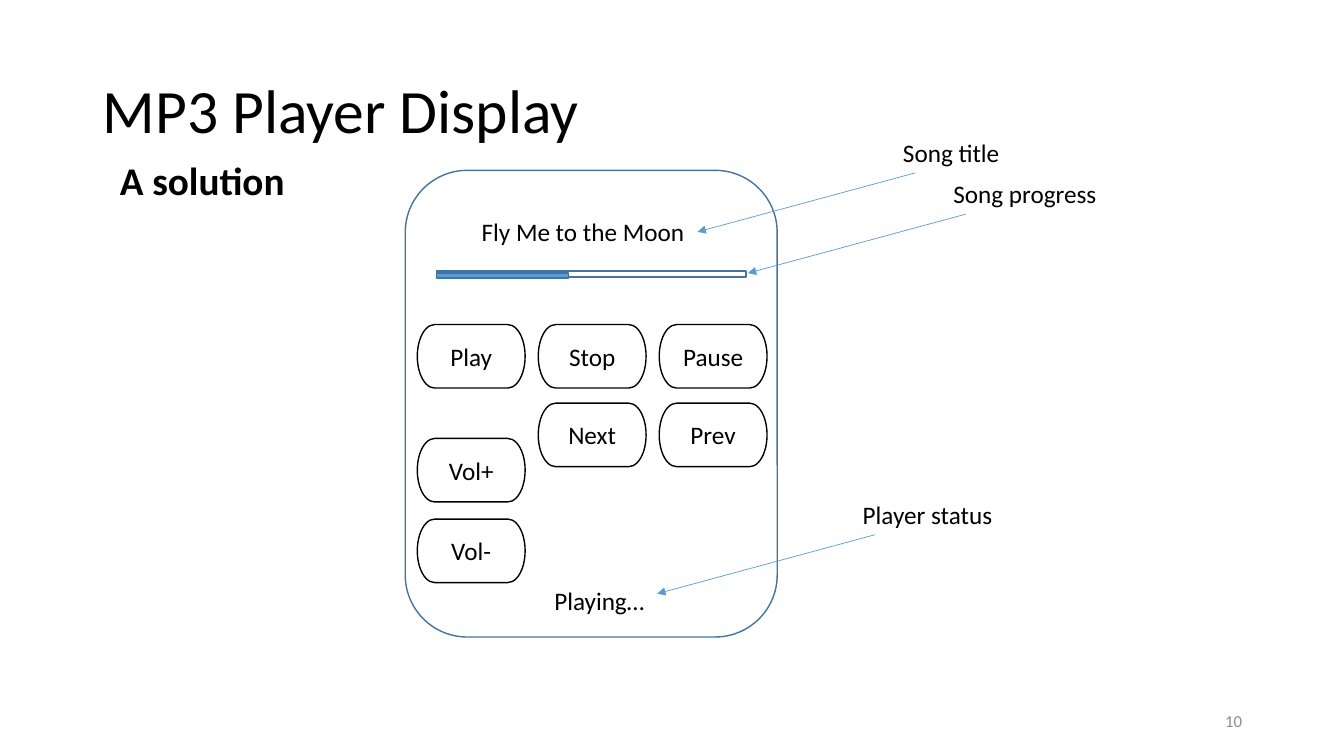
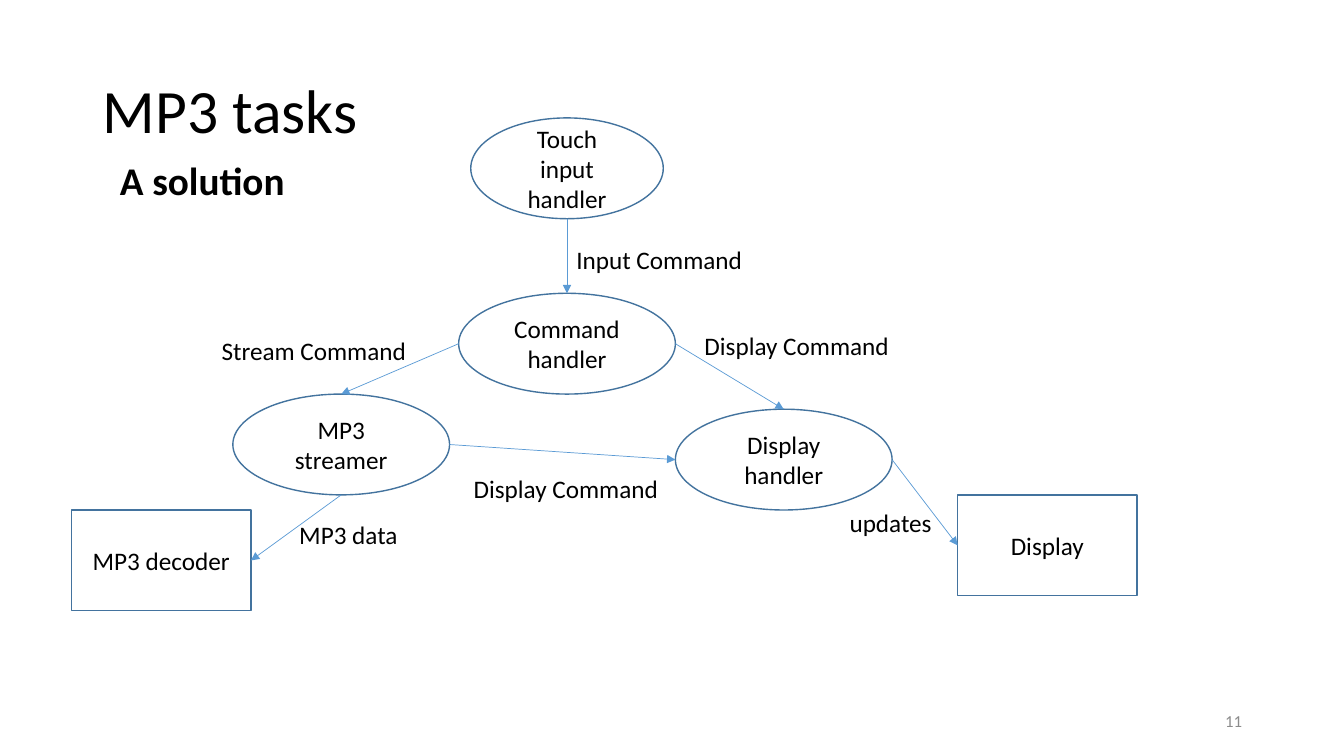
import pptx
import pptx.util
import pptx.dml.color
import pptx.enum.shapes
import pptx.enum.text
import pptx.oxml
import pptx.oxml.ns

# Shared look: a grid of ten cells per inch, one font, one palette
CELL = 0.1
COLUMNS, ROWS = 133.33, 75
FONT = "Calibri"
COLORS = {"text": "000000", "paper": "FFFFFF", "outline": "43739E",
          "accent": "5B9BD5", "number": "8C8C8C"}
FIRST_NUMBER = 10
LABEL_HEIGHT = 4
NODE_HEIGHT = 10

SHAPES = pptx.enum.shapes.MSO_SHAPE
ALIGN = pptx.enum.text.PP_ALIGN
ANCHOR = pptx.enum.text.MSO_ANCHOR
AUTO_SIZE = pptx.enum.text.MSO_AUTO_SIZE


def grid(*cells):
    return [pptx.util.Inches(cell * CELL) for cell in cells]


def color(name):
    return pptx.dml.color.RGBColor.from_string(COLORS[name])


# Text
def style_font(font, size, name="text", bold=False):
    font.name = FONT
    font.size = pptx.util.Pt(size)
    font.bold = bold
    font.color.rgb = color(name)


def write(frame, text, size=18, bold=False, align=ALIGN.LEFT, spacing=None):
    paragraph = frame.paragraphs[0]
    paragraph.alignment = align
    paragraph.line_spacing = spacing
    run = paragraph.add_run()
    run.text = text
    style_font(run.font, size, bold=bold)


def add_label(slide, text, left, top, width):
    frame = slide.shapes.add_textbox(*grid(left, top, width, LABEL_HEIGHT)).text_frame
    frame.word_wrap = False
    frame.auto_size = AUTO_SIZE.SHAPE_TO_FIT_TEXT
    write(frame, text)


# Shapes and arrows
def add_figure(slide, kind, box, text="", fill=None, line="outline"):
    shape = slide.shapes.add_shape(kind, *grid(*box))
    shape.shadow.inherit = False
    if fill:
        shape.fill.solid()
        shape.fill.fore_color.rgb = color(fill)
    else:
        shape.fill.background()
    shape.line.color.rgb = color(line)
    shape.line.width = pptx.util.Pt(1)
    if text:
        shape.text_frame.vertical_anchor = ANCHOR.MIDDLE
        write(shape.text_frame, text, align=ALIGN.CENTER)


def add_arrow(slide, start, end):
    connector = slide.shapes.add_connector(
        pptx.enum.shapes.MSO_CONNECTOR.STRAIGHT, *grid(*start, *end))
    connector.line.color.rgb = color("accent")
    connector.line.width = pptx.util.Pt(0.5)
    line = connector.line._get_or_add_ln()
    line.append(pptx.oxml.parse_xml(
        f'<a:tailEnd {pptx.oxml.ns.nsdecls("a")} type="triangle"/>'))
    connector._element.spPr.append(pptx.oxml.parse_xml(
        f'<a:effectLst {pptx.oxml.ns.nsdecls("a")}/>'))


def edge(box, side):
    left, top, width, height = box
    across, down = {"top": (0.5, 0), "bottom": (0.5, 1),
                    "left": (0, 0.5), "right": (1, 0.5)}[side]
    return left + width * across, top + height * down


# Slide frame: title, subtitle and page number
def add_page_number(slide, number):
    frame = slide.shapes.add_textbox(*grid(94.2, 69.5, 30, 4)).text_frame
    frame.word_wrap = True
    frame.vertical_anchor = ANCHOR.MIDDLE
    paragraph = frame.paragraphs[0]
    paragraph.alignment = ALIGN.RIGHT
    paragraph._p.append(pptx.oxml.parse_xml(
        f'<a:fld {pptx.oxml.ns.nsdecls("a")} type="slidenum" '
        'id="{B6F15528-21DE-4FAA-801E-634DDDAF4B2B}">'
        f'<a:rPr lang="en-US" sz="1200"><a:solidFill><a:srgbClr val="{COLORS["number"]}"/>'
        f'</a:solidFill><a:latin typeface="{FONT}"/></a:rPr><a:t>{number}</a:t></a:fld>'))


def add_slide(presentation, title_text, subtitle="A solution"):
    slide = presentation.slides.add_slide(presentation.slide_layouts.get_by_name("Title Only"))
    title = slide.shapes.title
    title.left, title.top, title.width, title.height = grid(9.2, 4, 115, 14.5)
    title.text_frame.auto_size = AUTO_SIZE.NONE
    title.text_frame.vertical_anchor = ANCHOR.MIDDLE
    write(title.text_frame, title_text, size=44, spacing=0.9)

    frame = slide.shapes.add_textbox(*grid(10.9, 15.5, 56.7, 6.2)).text_frame
    frame.word_wrap = True
    write(frame, subtitle, size=28, bold=True, spacing=0.9)
    add_page_number(slide, FIRST_NUMBER + len(presentation.slides) - 1)
    return slide


# Player display
def add_callout(slide, text, left, top, width):
    add_label(slide, text, left, top, width)
    start = left + 2.2, top + 4.05
    add_arrow(slide, start, (start[0] - 21.6, start[1] + 5.85))


def build_display(presentation):
    slide = add_slide(presentation, "MP3 Player Display")
    add_figure(slide, SHAPES.ROUNDED_RECTANGLE, (40.2, 16.9, 36.9, 46.3))
    add_label(slide, "Fly Me to the Moon", 46.8, 21, 22.4)
    add_label(slide, "Playing…", 54, 57.6, 11.2)

    # Progress bar
    add_figure(slide, SHAPES.RECTANGLE, (43.3, 26.9, 30.7, 0.6))
    add_figure(slide, SHAPES.RECTANGLE, (43.3, 27.1, 13.1, 0.5), fill="accent")

    # Buttons: row top, then one name per column
    button_rows = [(32.2, ["Play", "Stop", "Pause"]), (40, ["", "Next", "Prev"]),
                   (43.5, ["Vol+"]), (51.5, ["Vol-"])]
    for top, names in button_rows:
        for column, name in enumerate(names):
            if name:
                add_figure(slide, SHAPES.FLOWCHART_TERMINATOR,
                           (41.4 + 12 * column, top, 10.7, 6.3),
                           name, fill="paper", line="text")

    for callout in [("Song title", 88.6, 13.1, 11.7),
                    ("Song progress", 93.6, 17.2, 16.4),
                    ("Player status", 84.6, 49, 15)]:
        add_callout(slide, *callout)


# Task diagram
def build_tasks(presentation):
    slide = add_slide(presentation, "MP3 tasks")
    ellipse, rectangle = SHAPES.OVAL, SHAPES.RECTANGLE
    nodes = {
        "Touch input handler": (ellipse, 46.7, 11.7, 19.1),
        "Command handler": (ellipse, 45.5, 29.1, 21.5),
        "MP3 streamer": (ellipse, 23.1, 39.1, 21.5),
        "Display handler": (ellipse, 67, 40.6, 21.5),
        "Display": (rectangle, 95, 49.1, 17.8),
        "MP3 decoder": (rectangle, 7.1, 50.6, 17.8),
    }
    boxes = {name: (*place, NODE_HEIGHT) for name, (_, *place) in nodes.items()}
    for name, (kind, *_) in nodes.items():
        add_figure(slide, kind, boxes[name], name)

    # Messages: source and side, target and side, label and its place
    messages = [
        ("Touch input handler", "bottom", "Command handler", "top",
         "Input Command", 56.2, 23.7, 18.7),
        ("Command handler", "left", "MP3 streamer", "top",
         "Stream Command", 21, 32.8, 20.5),
        ("Command handler", "right", "Display handler", "top",
         "Display Command", 68.9, 32.3, 20.5),
        ("MP3 streamer", "right", "Display handler", "left",
         "Display Command", 46, 46.5, 20.5),
        ("Display handler", "right", "Display", "left",
         "updates", 83.3, 49.8, 10.3),
        ("MP3 streamer", "bottom", "MP3 decoder", "right",
         "MP3 data", 28.7, 51, 11.9),
    ]
    for source, source_side, target, target_side, *label in messages:
        add_arrow(slide, edge(boxes[source], source_side), edge(boxes[target], target_side))
        add_label(slide, *label)


def main():
    presentation = pptx.Presentation()
    presentation.slide_width, presentation.slide_height = grid(COLUMNS, ROWS)
    presentation.element.set("firstSlideNum", str(FIRST_NUMBER))
    build_display(presentation)
    build_tasks(presentation)
    presentation.save("out.pptx")


if __name__ == "__main__":
    main()
